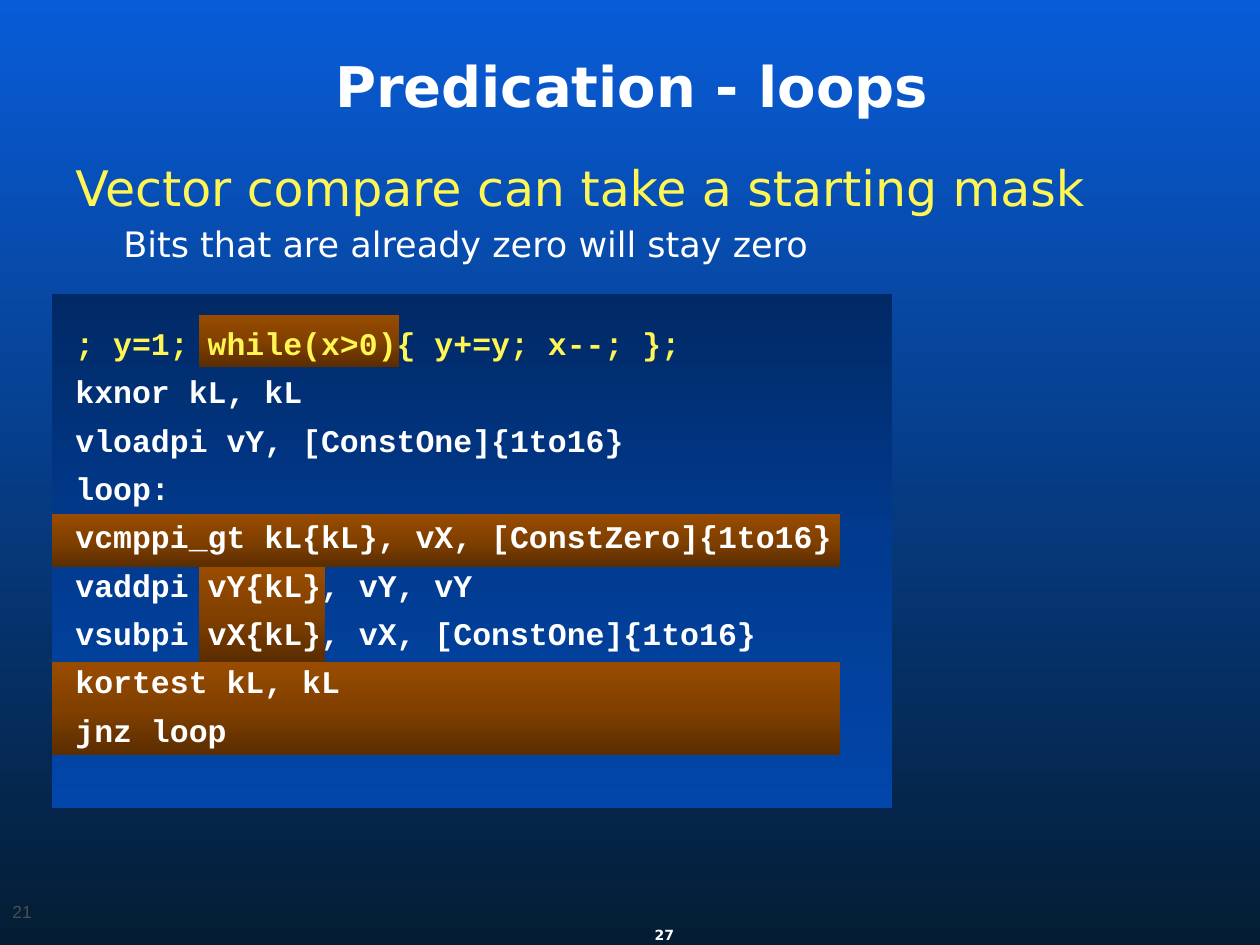
import pptx
import pptx.util
import pptx.dml.color
import pptx.enum.shapes
import pptx.enum.text
import pptx.oxml
import pptx.oxml.ns

RGB = pptx.dml.color.RGBColor
Pt = pptx.util.Pt
ALIGN = pptx.enum.text.PP_ALIGN
ANCHOR = pptx.enum.text.MSO_ANCHOR
WHITE = RGB(0xFF, 0xFF, 0xFF)
YELLOW = RGB(0xFF, 0xF6, 0x54)
GRAY = RGB(0x4D, 0x4D, 0x4D)
SKY = [(0, RGB(0x04, 0x1D, 0x34)), (100, RGB(0x08, 0x5C, 0xD8))]
NAVY = [(0, RGB(0x01, 0x29, 0x65)), (50, RGB(0x01, 0x3B, 0x90)),
        (100, RGB(0x02, 0x46, 0xAB))]
ORANGE = [(0, RGB(0x5B, 0x2D, 0x00)), (50, RGB(0x81, 0x40, 0x00)),
          (100, RGB(0x99, 0x4C, 0x00))]
SANS, MONO, ARIAL = "DejaVu Sans", "Courier New", "Arial"


class Deck:
    def __init__(self, width, height):
        self.prs = pptx.Presentation()
        self.prs.slide_width = self.px(width)
        self.prs.slide_height = self.px(height)
        self.s = self.prs.slides.add_slide(self.prs.slide_layouts[5])

    def px(self, n):
        return pptx.util.Emu(round(n * 914400 / 126))

    def gradient(self, fill, element, stops, angle):
        fill.gradient()
        fill.gradient_angle = angle
        gs_lst = next(element.iter(pptx.oxml.ns.qn("a:gsLst")))
        for gs in list(gs_lst):
            gs_lst.remove(gs)
        for pos, color in stops:
            gs_lst.append(pptx.oxml.parse_xml(
                f'<a:gs {pptx.oxml.ns.nsdecls("a")} pos="{pos * 1000}">'
                f'<a:srgbClr val="{color}"/></a:gs>'))

    def background(self, stops, angle):
        self.gradient(self.s.background.fill, self.s.element, stops, angle)

    def panel(self, box, stops, angle):
        sp = self.s.shapes.add_shape(pptx.enum.shapes.MSO_SHAPE.RECTANGLE,
                                     *map(self.px, box))
        sp.shadow.inherit = False
        sp.line.fill.background()
        self.gradient(sp.fill, sp.element, stops, angle)

    def style(self, p, size, color, font=SANS, bold=False, align=ALIGN.LEFT,
              spacing=1.0, before=0, after=0, margin=0, indent=0):
        p.alignment = align
        p.line_spacing = spacing
        p.space_before, p.space_after = Pt(before), Pt(after)
        pPr = p._p.get_or_add_pPr()
        pPr.set("marL", str(self.px(margin)))
        pPr.set("indent", str(self.px(indent)))
        for r in p.runs:
            r.font.name, r.font.size, r.font.bold = font, Pt(size), bold
            r.font.color.rgb = color

    def title(self, text, box, **style):
        sp = self.s.shapes.title
        sp.left, sp.top, sp.width, sp.height = map(self.px, box)
        tf = sp.text_frame
        tf.text = text
        tf.vertical_anchor = ANCHOR.MIDDLE
        self.style(tf.paragraphs[0], **style)

    def text(self, box, items, anchor=ANCHOR.TOP, inset=None):
        tf = self.s.shapes.add_textbox(*map(self.px, box)).text_frame
        tf.word_wrap = True
        tf.vertical_anchor = anchor
        if inset is not None:
            tf.margin_left = tf.margin_right = self.px(inset)
            tf.margin_top = tf.margin_bottom = self.px(inset)
        for i, (text, style) in enumerate(items):
            p = tf.add_paragraph() if i else tf.paragraphs[0]
            p.text = text
            self.style(p, **style)


deck = Deck(1260, 945)
deck.background(SKY, 90)
deck.text((636, 914, 57, 42),
          [("27", dict(size=8, color=WHITE, bold=True, align=ALIGN.CENTER))],
          ANCHOR.MIDDLE, 0)
deck.title("Predication - loops", (52, 32, 1160, 115), size=32, color=WHITE,
           bold=True, align=ALIGN.CENTER, spacing=0.9)

deck.panel((52, 294, 840, 514), NAVY, 270)
for box in [(199, 567, 126, 95), (199, 315, 200, 52),
            (52, 662, 788, 93), (52, 514, 788, 53)]:
    deck.panel(box, ORANGE, 90)

CODE = ["kxnor kL, kL", "vloadpi vY, [ConstOne]{1to16}", "loop:",
        "vcmppi_gt kL{kL}, vX, [ConstZero]{1to16}", "vaddpi vY{kL}, vY, vY",
        "vsubpi vX{kL}, vX, [ConstOne]{1to16}", "kortest kL, kL", "jnz loop"]
code = dict(size=18, font=MONO, bold=True, after=6, margin=32, indent=-32)
deck.text((63, 158, 1134, 687), [
    ("Vector compare can take a starting mask",
     dict(size=28, color=YELLOW, spacing=0.9, after=6, margin=32, indent=-32)),
    ("Bits that are already zero will stay zero",
     dict(size=20, color=WHITE, spacing=0.9, after=6, margin=80, indent=-32)),
    ("; y=1; while(x>0){ y+=y; x--; };",
     {**code, "color": YELLOW, "before": 27.5}),
] + [(line, {**code, "color": WHITE}) for line in CODE])
deck.text((0, 895, 84, 34), [("21", dict(size=10, color=GRAY, font=ARIAL))])
deck.prs.save("out.pptx")
